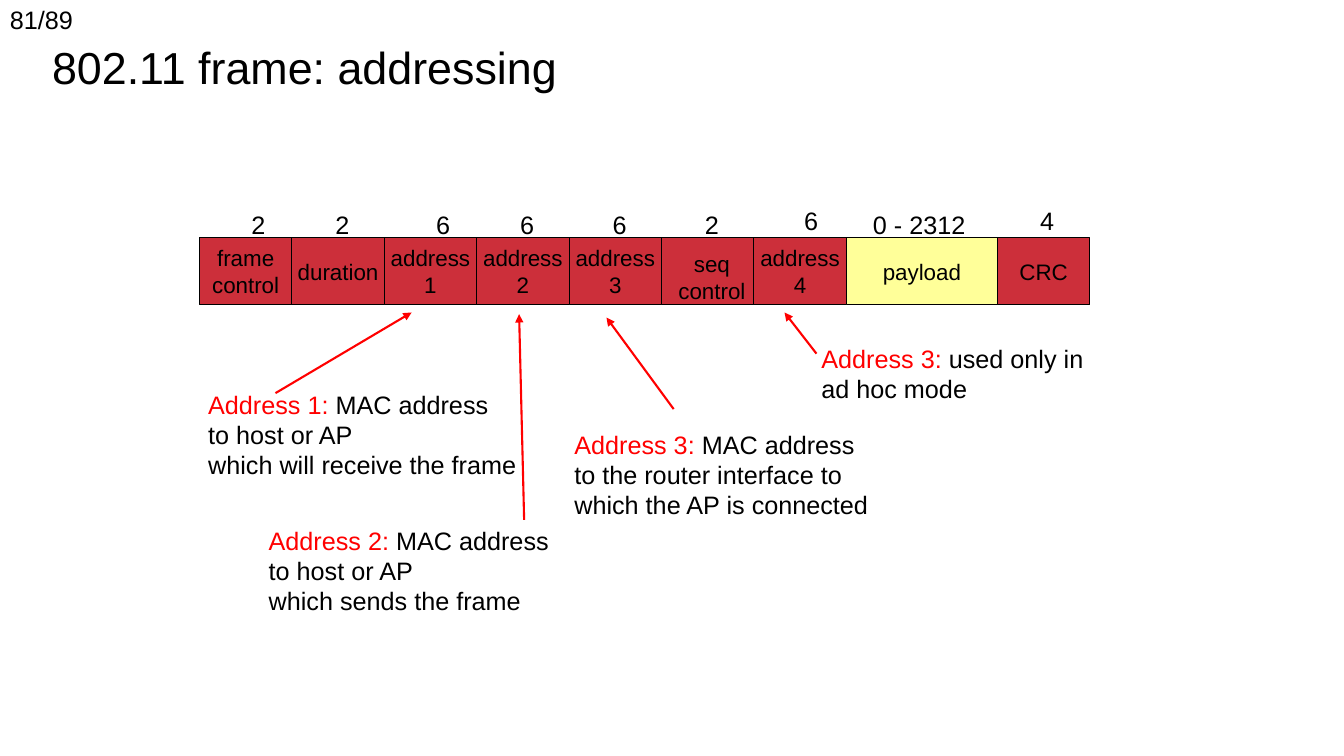
from dataclasses import dataclass

from lxml.etree import SubElement
from pptx import Presentation
from pptx.dml.color import RGBColor
from pptx.enum.shapes import MSO_CONNECTOR as Connector, MSO_SHAPE as Preset
from pptx.enum.text import MSO_ANCHOR as Anchor, MSO_AUTO_SIZE as AutoSize, PP_ALIGN as Align
from pptx.oxml.ns import qn
from pptx.util import Inches, Pt


@dataclass(frozen=True)
class Theme:
    font: str = "Arial"
    ink: RGBColor = RGBColor(0x00, 0x00, 0x00)
    accent: RGBColor = RGBColor(0xFF, 0x00, 0x00)
    header: RGBColor = RGBColor(0xCC, 0x2F, 0x3A)
    payload: RGBColor = RGBColor(0xFF, 0xFF, 0x99)
    title_size: int = 32
    body_size: int = 18
    field_size: int = 16
    border: float = 0.75
    arrow: float = 1.5


THEME = Theme()
SLIDE_WIDTH, SLIDE_HEIGHT = Inches(13.33), Inches(7.5)
COLUMNS, ROWS = 160, 90

FRAME_LEFT, FRAME_TOP, FRAME_HEIGHT = 23.75, 28.3, 8
FIELD_WIDTH, PAYLOAD_WIDTH = 11, 18
BYTES_TOP, BYTES_HEIGHT = 24.3, 4.8

# field label, byte count, indent of the byte count, lift of the byte count
FIELDS = [
    ("frame\ncontrol", "2", 5, 0),
    ("duration", "2", 4, 0),
    ("address\n1", "6", 5, 0),
    ("address\n2", "6", 4, 0),
    ("address\n3", "6", 4, 0),
    ("seq\ncontrol", "2", 4, 0),
    ("address\n4", "6", 4.8, 0.5),
    ("payload", "0 - 2312", 2, 0),
    ("CRC", "4", 3.9, 0.5),
]

# address, explanation, box on the grid, wrapped, arrow start, arrow end
CALLOUTS = [
    ("Address 2:", " MAC address\nto host or AP\nwhich sends the frame",
     (30.8, 61.9, 36.1, 12.1), False, (62.4, 61.9), (61.8, 37.4)),
    ("Address 1:", " MAC address\nto host or AP\nwhich will receive the frame",
     (23.6, 45.7, 39.5, 12.1), False, (32.8, 46.8), (49, 37.2)),
    ("Address 3:", " MAC address\nto the router interface to which the AP is connected",
     (67.2, 50.5, 40.1, 12), True, (80.2, 48.7), (72.2, 37.8)),
    ("Address 3:", " used only in ad hoc mode",
     (96.6, 40.3, 34.2, 8.4), True, (97.2, 42.1), (93.4, 37.2)),
]


def on_grid(*lengths):
    """Turn alternating columns and rows into slide lengths."""
    steps = (SLIDE_WIDTH / COLUMNS, SLIDE_HEIGHT / ROWS)
    return [round(length * steps[i % 2]) for i, length in enumerate(lengths)]


def style_text(frame, size, align=Align.LEFT):
    for paragraph in frame.paragraphs:
        paragraph.alignment = align
        for run in paragraph.runs:
            run.font.name = THEME.font
            run.font.size = Pt(size)
            run.font.color.rgb = THEME.ink


def add_label(slide, text, box, size=THEME.body_size, align=Align.LEFT, wrap=False):
    frame = slide.shapes.add_textbox(*on_grid(*box)).text_frame
    frame.text = text
    frame.word_wrap = wrap
    frame.auto_size = AutoSize.SHAPE_TO_FIT_TEXT
    style_text(frame, size, align)
    return frame


def add_title(slide, text):
    title = slide.shapes.title
    title.left, title.top, title.width, title.height = on_grid(5, 4.8, 129, 17.3)
    frame = title.text_frame
    frame.text = text
    frame.vertical_anchor = Anchor.TOP
    frame.word_wrap = True
    style_text(frame, THEME.title_size)
    frame.paragraphs[0].line_spacing = 0.9


def add_field(slide, label, left, width, fill):
    field = slide.shapes.add_shape(
        Preset.RECTANGLE, *on_grid(left, FRAME_TOP, width, FRAME_HEIGHT))
    field.shadow.inherit = False
    field.fill.solid()
    field.fill.fore_color.rgb = fill
    field.line.color.rgb = THEME.ink
    field.line.width = Pt(THEME.border)
    frame = field.text_frame
    frame.text = label
    frame.word_wrap = False
    frame.vertical_anchor = Anchor.MIDDLE
    style_text(frame, THEME.field_size, Align.CENTER)


def add_frame_diagram(slide):
    left = FRAME_LEFT
    labels = []
    for label, count, indent, lift in FIELDS:
        is_payload = label == "payload"
        is_sequence = label.startswith("seq")
        width = PAYLOAD_WIDTH if is_payload else FIELD_WIDTH
        add_field(slide, "" if is_sequence else label, left, width,
                  THEME.payload if is_payload else THEME.header)
        count_box = (left + indent, BYTES_TOP - lift,
                     13.4 if is_payload else 4.1, BYTES_HEIGHT)
        labels.append((count, count_box))
        if is_sequence:
            sequence_box = (left + 0.8, FRAME_TOP + 0.9, 10.4, 7.7)
            labels.append((label, sequence_box, THEME.field_size, Align.CENTER))
        left += width
    for label in labels:
        add_label(slide, *label)


def add_arrow(slide, start, end):
    arrow = slide.shapes.add_connector(Connector.STRAIGHT, *on_grid(*start, *end))
    arrow.line.color.rgb = THEME.accent
    arrow.line.width = Pt(THEME.arrow)
    SubElement(arrow.line._get_or_add_ln(), qn("a:tailEnd"), type="triangle")
    SubElement(arrow._element.spPr, qn("a:effectLst"))


def add_callout(slide, address, explanation, box, wrap, start, end):
    add_arrow(slide, start, end)
    first_line, *other_lines = explanation.split("\n")
    frame = add_label(slide, "\n".join([address, *other_lines]), box, wrap=wrap)
    frame.paragraphs[0].add_run().text = first_line
    style_text(frame, THEME.body_size)
    frame.paragraphs[0].runs[0].font.color.rgb = THEME.accent


def main():
    deck = Presentation()
    deck.slide_width, deck.slide_height = SLIDE_WIDTH, SLIDE_HEIGHT
    slide = deck.slides.add_slide(deck.slide_layouts.get_by_name("Title Only"))
    add_frame_diagram(slide)
    add_title(slide, "802.11 frame: addressing")
    for callout in CALLOUTS:
        add_callout(slide, *callout)
    add_label(slide, "81/89", (0, -0.1, 16.6, 6), wrap=True)
    deck.save("out.pptx")


if __name__ == "__main__":
    main()
